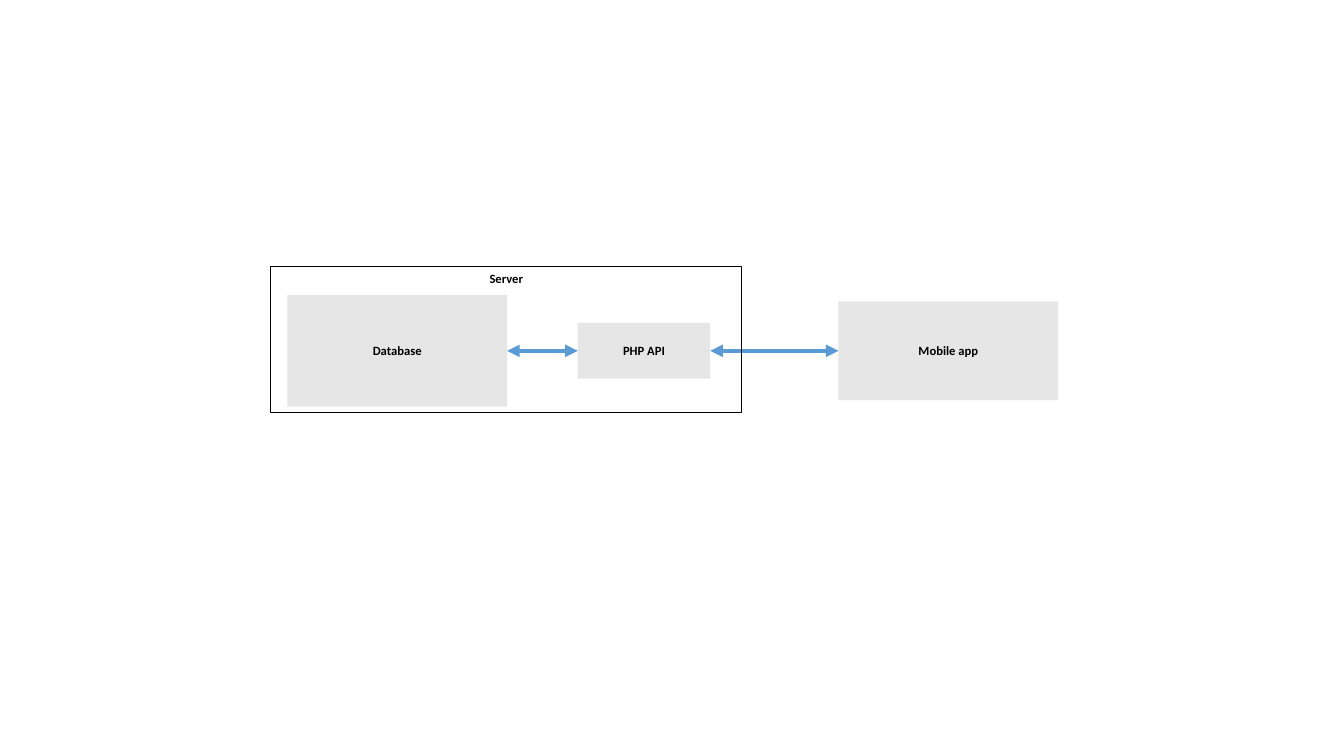
"""Build a slide showing a mobile app talking to a server's database through an API."""
from lxml import etree
from pptx import Presentation
from pptx import util as u
from pptx.dml.color import RGBColor
from pptx.enum import shapes, text
from pptx.oxml.ns import qn

AXIS = 8.84
PARTS = [
    ("Database", 7.24, 5.54, 2.82),
    ("PHP API", 14.56, 3.34, 1.4),
    ("Mobile app", 21.13, 5.54, 2.49),
]
SERVER = ("Server", 6.83, 6.71, 11.86, 3.68)
LABEL = {"name": "Calibri", "size": u.Pt(9), "bold": True}
GREY, BLUE, BLACK = "E7E6E6", "5B9BD5", "000000"


def paint(color_format, value):
    color_format.rgb = RGBColor.from_string(value)


def add_box(page, label, left, top, width, height, anchor):
    box = page.shapes.add_shape(
        shapes.MSO_SHAPE.RECTANGLE, *map(u.Cm, (left, top, width, height)))
    box.shadow.inherit = False
    frame = box.text_frame
    frame.vertical_anchor = anchor
    para = frame.paragraphs[0]
    para.alignment = text.PP_ALIGN.CENTER
    span = para.add_run()
    span.text = label
    for key, value in LABEL.items():
        setattr(span.font, key, value)
    paint(span.font.color, BLACK)
    return box


def add_arrow(page, start, end):
    arrow = page.shapes.add_connector(
        shapes.MSO_CONNECTOR.STRAIGHT, *map(u.Cm, (start, AXIS, end, AXIS)))
    arrow.line.width = u.Pt(3)
    paint(arrow.line.color, BLUE)
    line = arrow.line._get_or_add_ln()
    for end_tag in ("a:headEnd", "a:tailEnd"):
        etree.SubElement(line, qn(end_tag), type="triangle")
    etree.SubElement(arrow._element.spPr, qn("a:effectLst"))


def main():
    deck = Presentation()
    deck.slide_width, deck.slide_height = u.Cm(33.87), u.Cm(19.05)
    page = deck.slides.add_slide(deck.slide_layouts[6])

    for label, left, width, height in PARTS:
        box = add_box(page, label, left, AXIS - height / 2, width, height,
                      text.MSO_ANCHOR.MIDDLE)
        box.fill.solid()
        paint(box.fill.fore_color, GREY)
        box.line.fill.background()

    for (_, left, width, _), (_, next_left, _, _) in zip(PARTS, PARTS[1:]):
        add_arrow(page, left + width, next_left)

    server = add_box(page, *SERVER, text.MSO_ANCHOR.TOP)
    server.fill.background()
    server.line.width = u.Pt(0.75)
    paint(server.line.color, BLACK)

    deck.save("out.pptx")


if __name__ == "__main__":
    main()
